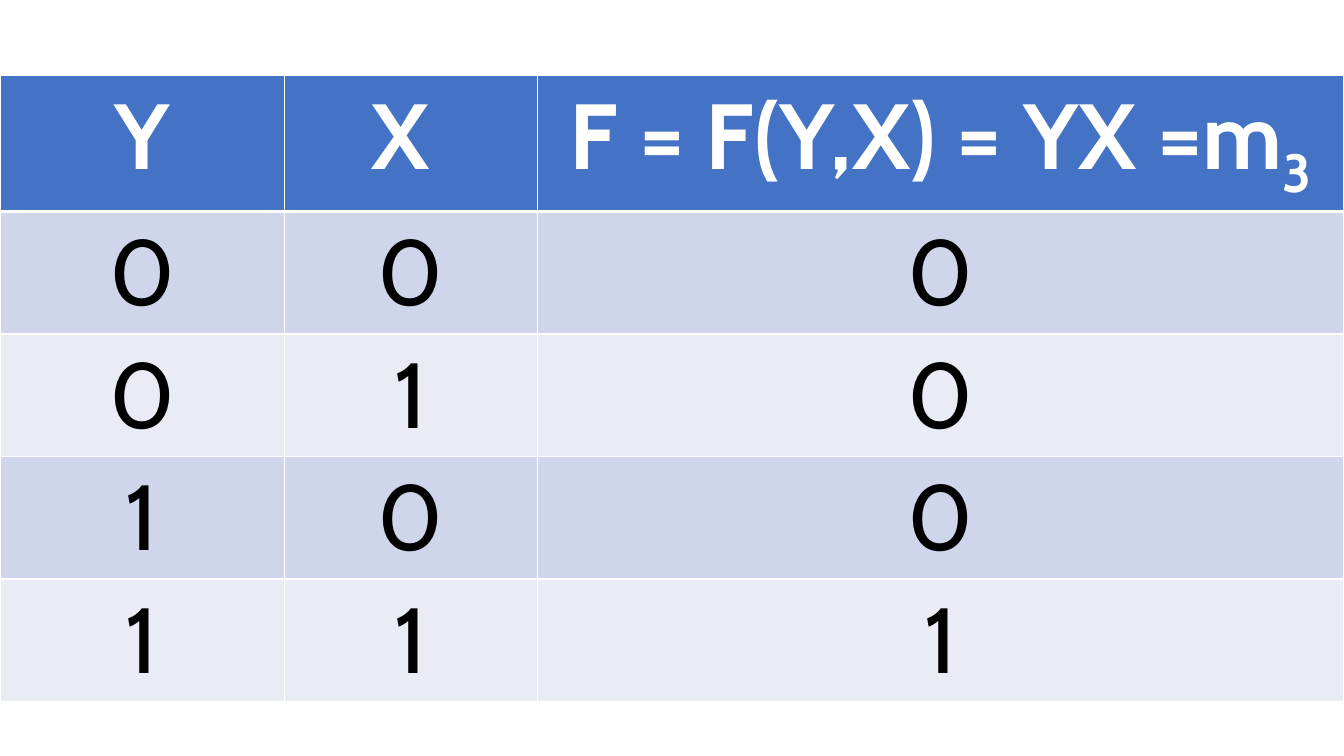
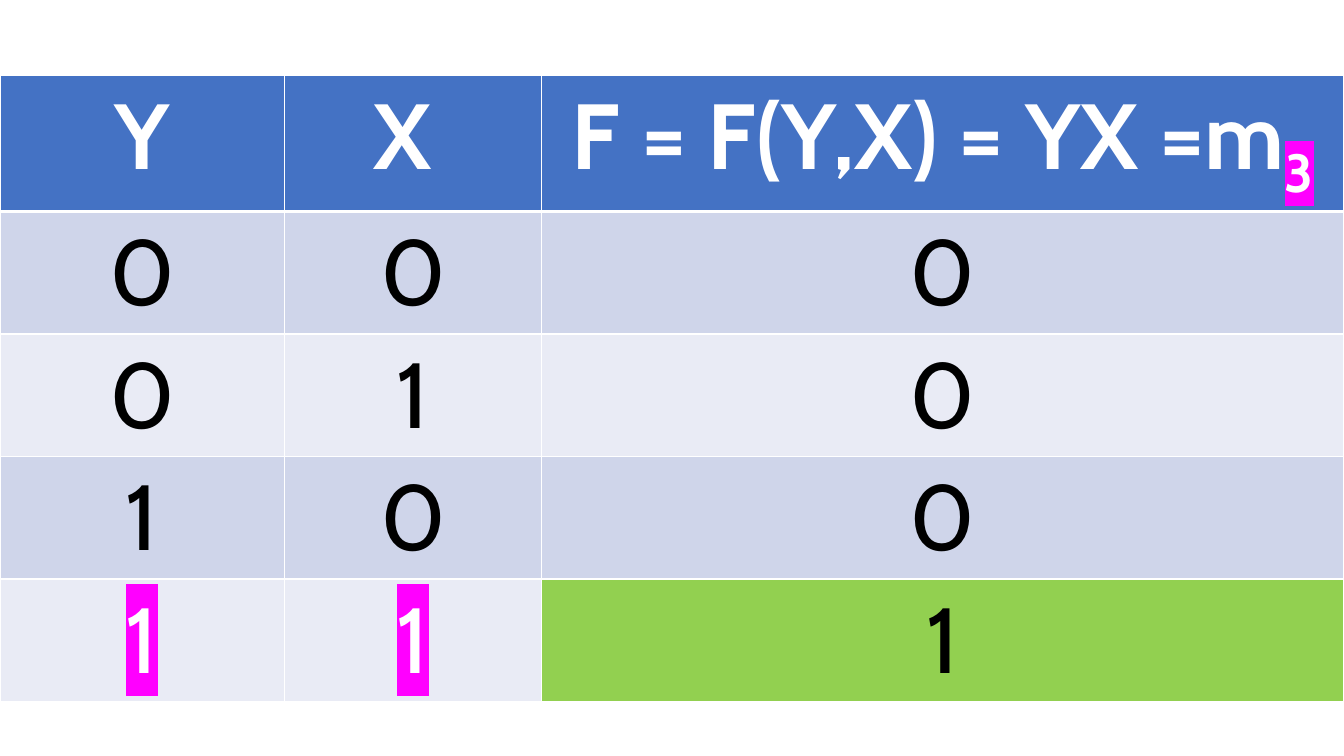
from lxml.etree import SubElement
from pptx import Presentation
from pptx.dml.color import RGBColor
from pptx.enum.text import PP_ALIGN
from pptx.oxml import parse_xml
from pptx.oxml.ns import nsdecls, qn
from pptx.util import Pt

COLORS = {
    "header": "4472C4",
    "odd_row": "CFD5EA",
    "even_row": "E9EBF5",
    "result": "92D050",
    "marker": "FF00FF",
    "light": "FFFFFF",
    "dark": "000000",
}
FONT = "Cabin"
FONT_SIZE = 66
SLIDE_WIDTH, SLIDE_HEIGHT = 960, 540
TABLE_TOP = 54
HEADER_HEIGHT, ROW_HEIGHT = 96.5, 87.5
THIN, THICK = 1, 3

HEADINGS = ["Y", "X ", "F = F(Y,X) = YX =m"]
MINTERM = "3"
TRUTH_ROWS = ["000", "010", "100", "111"]


def color(name):
    return RGBColor.from_string(COLORS[name])


def add_highlight(span, name):
    """Put a marker colour behind a run that already has a text colour."""
    highlight = parse_xml(
        f'<a:highlight {nsdecls("a")}><a:srgbClr val="{COLORS[name]}"/></a:highlight>'
    )
    span._r.get_or_add_rPr().find(qn("a:solidFill")).addnext(highlight)


def add_span(para, text, text_color, bold=False, subscript=False, marked=False):
    span = para.add_run()
    span.text = text
    span.font.size = Pt(FONT_SIZE)
    span.font.bold = bold
    span.font.color.rgb = color(text_color)
    span.font.name = FONT
    if subscript:
        span._r.get_or_add_rPr().set("baseline", "-25000")
    if marked:
        add_highlight(span, "marker")


def set_borders(cell, top=THIN, bottom=THIN):
    properties = cell._tc.get_or_add_tcPr()
    for side, width in (("L", THIN), ("R", THIN), ("T", top), ("B", bottom)):
        line = SubElement(properties, qn(f"a:ln{side}"), w=str(Pt(width)))
        fill = SubElement(line, qn("a:solidFill"))
        SubElement(fill, qn("a:srgbClr"), val=COLORS["light"])


def style_cell(cell, fill_color, **borders):
    """Format a cell and return its centred paragraph."""
    set_borders(cell, **borders)
    cell.fill.solid()
    cell.fill.fore_color.rgb = color(fill_color)
    para = cell.text_frame.paragraphs[0]
    para.alignment = PP_ALIGN.CENTER
    return para


def fill_header(table, marked):
    for column, heading in enumerate(HEADINGS):
        para = style_cell(table.cell(0, column), "header", bottom=THICK)
        add_span(para, heading, "light", bold=True)
    add_span(para, MINTERM, "light", bold=True, subscript=True, marked=marked)


def fill_truth_rows(table, marked):
    """Write the values; when marked, stress the row whose result is 1."""
    result_column = len(HEADINGS) - 1
    for row, values in enumerate(TRUTH_ROWS, start=1):
        band = "odd_row" if row % 2 else "even_row"
        stressed = marked and values[result_column] == "1"
        for column, value in enumerate(values):
            is_result = column == result_column
            marked_input = stressed and not is_result
            para = style_cell(
                table.cell(row, column),
                "result" if stressed and is_result else band,
                top=THICK if row == 1 else THIN,
            )
            add_span(para, value, "light" if marked_input else "dark",
                     marked=marked_input)


def add_truth_table(page, column_widths, marked=False):
    heights = [HEADER_HEIGHT] + [ROW_HEIGHT] * len(TRUTH_ROWS)
    table = page.shapes.add_table(
        len(heights), len(column_widths),
        Pt(0), Pt(TABLE_TOP), Pt(sum(column_widths)), Pt(sum(heights)),
    ).table
    for column, width in zip(table.columns, column_widths):
        column.width = Pt(width)
    for row, height in zip(table.rows, heights):
        row.height = Pt(height)
    fill_header(table, marked)
    fill_truth_rows(table, marked)


def main():
    deck = Presentation()
    deck.slide_width, deck.slide_height = Pt(SLIDE_WIDTH), Pt(SLIDE_HEIGHT)
    blank = deck.slide_layouts[6]
    add_truth_table(deck.slides.add_slide(blank), [203, 181, 576])
    add_truth_table(deck.slides.add_slide(blank), [203, 184, 573], marked=True)
    deck.save("out.pptx")


if __name__ == "__main__":
    main()
